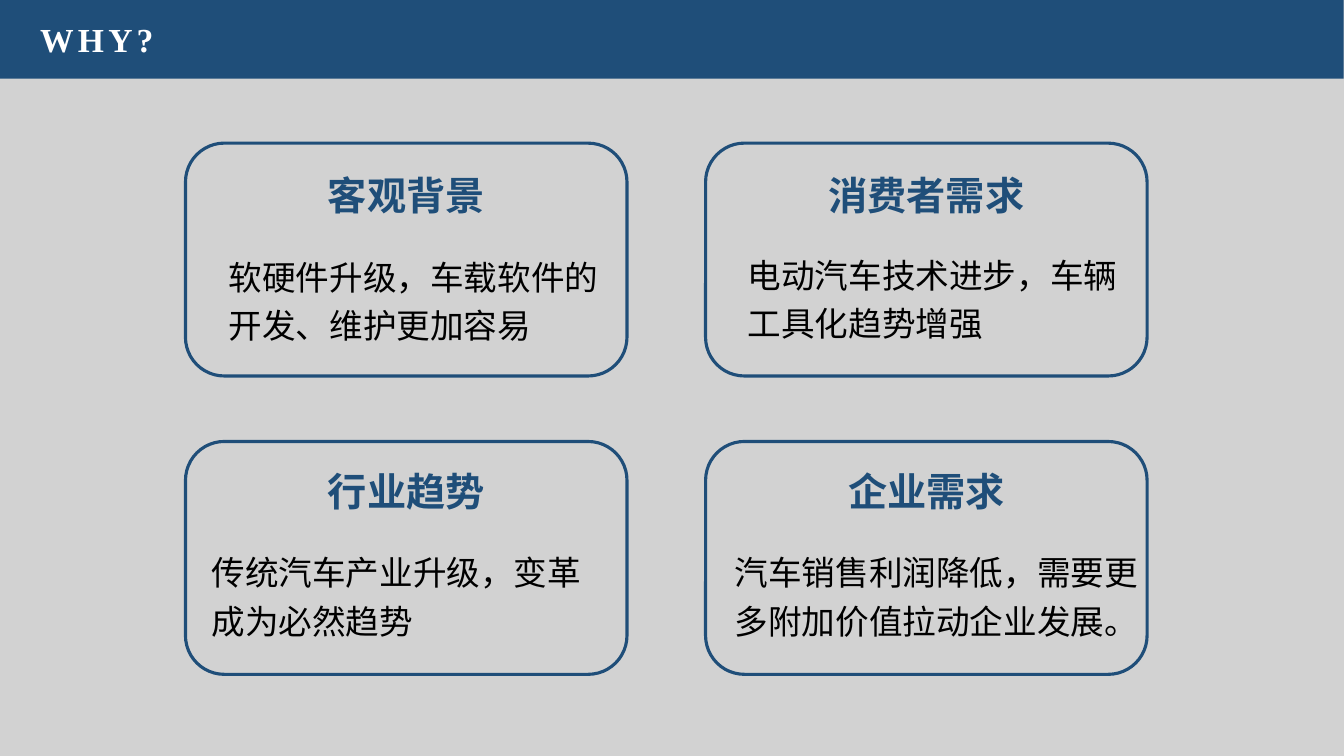
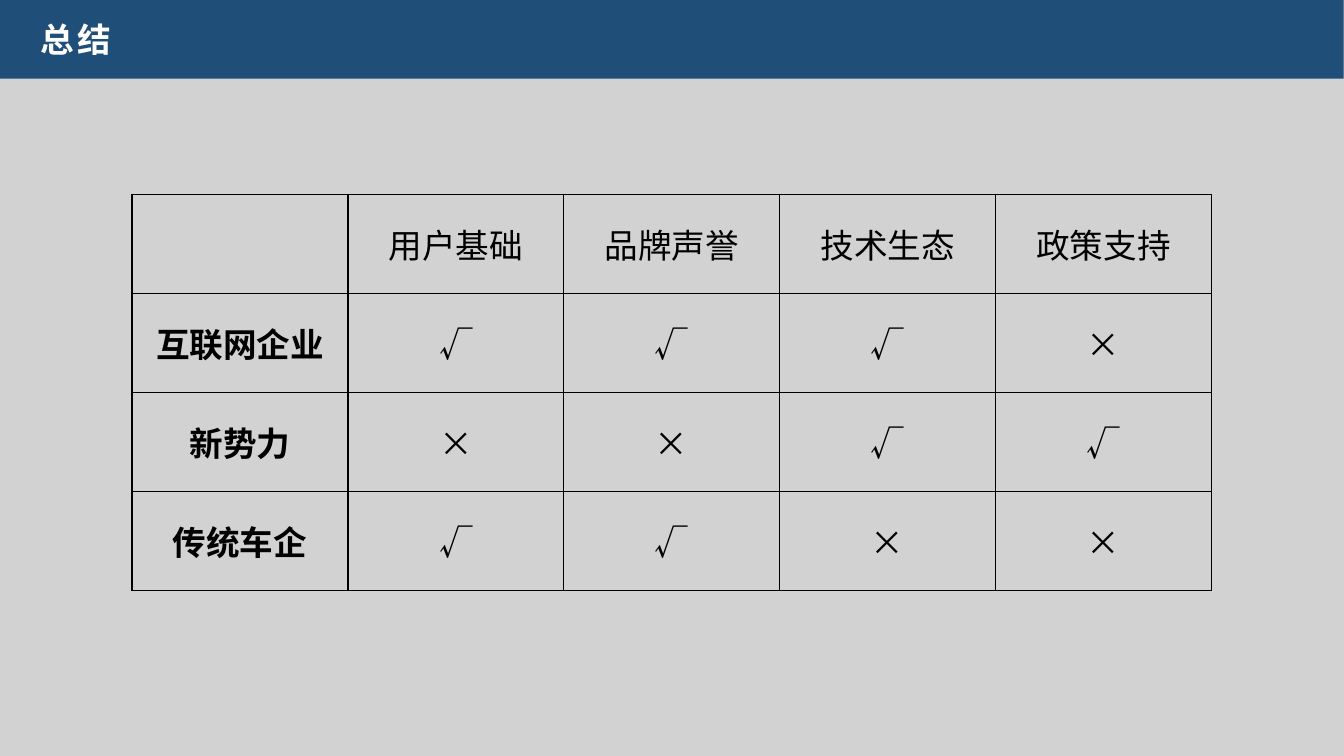
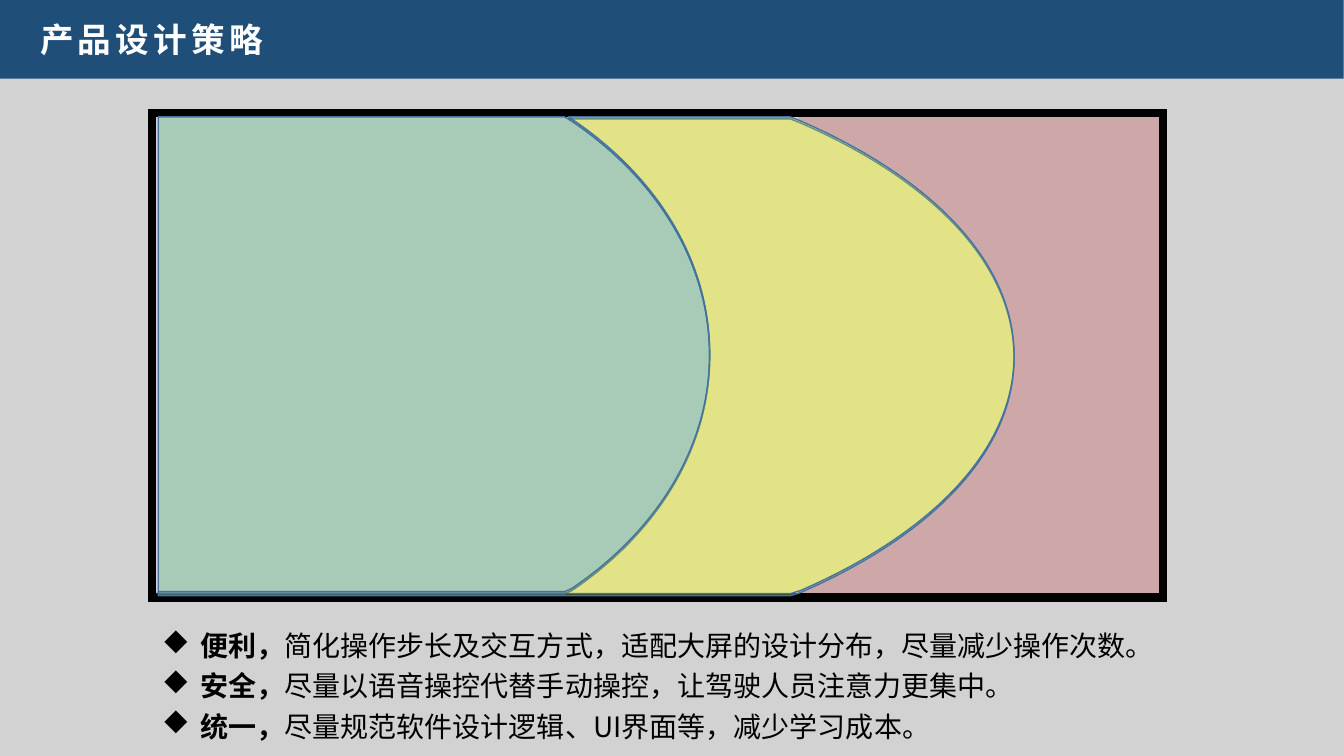
from lxml.etree import SubElement
from pptx import Presentation
from pptx.dml.color import RGBColor
from pptx.enum.shapes import MSO_SHAPE as Shape
from pptx.enum.text import MSO_ANCHOR as Anchor, MSO_AUTO_SIZE as Fit, PP_ALIGN as Align
from pptx.oxml.ns import qn
from pptx.util import Inches, Pt

COLORS = {"page": "D2D2D2", "navy": "1F4E79", "white": "FFFFFF", "black": "000000",
          "edge": "43739E", "red": "C00000", "yellow": "FFFF00", "green": "00B050"}
SANS, SERIF = "Noto Sans CJK SC", "Times New Roman"

# heading, body, body offset in the card (x, y), body width
CARDS = [
    ("客观背景", "软硬件升级，车载软件的开发、维护更加容易", (0.33, 1.0), 4.06),
    ("消费者需求", "电动汽车技术进步，车辆工具化趋势增强", (0.32, 0.98), 4.06),
    ("行业趋势", "传统汽车产业升级，变革成为必然趋势", (0.16, 0.97), 4.06),
    ("企业需求", "汽车销售利润降低，需要更多附加价值拉动企业发展。", (0.19, 0.97), 4.32),
]
CARD_W, CARD_H = 4.38, 2.31
LEFT, TOP = 1.84, 1.42
STEP_X, STEP_Y = 5.16, 2.96

GRID = [
    ("", "用户基础", "品牌声誉", "技术生态", "政策支持"),
    ("互联网企业", "√", "√", "√", "×"),
    ("新势力", "×", "×", "√", "√"),
    ("传统车企", "√", "√", "×", "×"),
]

POINTS = [
    ("便利，", "简化操作步长及交互方式，适配大屏的设计分布，尽量减少操作次数。"),
    ("安全，", "尽量以语音操控代替手动操控，让驾驶人员注意力更集中。"),
    ("统一，", "尽量规范软件设计逻辑、UI界面等，减少学习成本。"),
]
FRAME = (1.51, 1.12, 10.03, 4.81)
MID = 3.53


def rgb(name):
    return RGBColor.from_string(COLORS[name])


def style(run, size, color="black", bold=False, face=SANS):
    font = run.font
    font.size, font.bold, font.name = Pt(size), bold, face
    font.color.rgb = rgb(color)
    SubElement(run._r.get_or_add_rPr(), qn("a:ea"), typeface=SANS)


def paint(shape, fill=None, line=None, width=1, alpha=None):
    shape.shadow.inherit = False
    if fill:
        shape.fill.solid()
        shape.fill.fore_color.rgb = rgb(fill)
        if alpha:
            tint = shape.fill._xPr.find(".//" + qn("a:srgbClr"))
            SubElement(tint, qn("a:alpha"), val=str(alpha * 1000))
    else:
        shape.fill.background()
    if line:
        shape.line.color.rgb = rgb(line)
        shape.line.width = Pt(width)
    else:
        shape.line.fill.background()
    return shape


def add_box(slide, kind, at, **look):
    return paint(slide.shapes.add_shape(kind, *map(Inches, at)), **look)


def add_frame(slide, at):
    """Add an empty wrapping text box and return its text frame."""
    frame = slide.shapes.add_textbox(*map(Inches, at)).text_frame
    frame.word_wrap, frame.auto_size = True, Fit.SHAPE_TO_FIT_TEXT
    return frame


def add_text(slide, at, text, size, align=None, space=None, **look):
    frame = add_frame(slide, at)
    frame.text = text
    para = frame.paragraphs[0]
    para.alignment, para.line_spacing = align, space
    style(para.runs[0], size, **look)
    return para.runs[0]


def add_page(prs, title):
    """Add a blank slide with the title band."""
    slide = prs.slides.add_slide(prs.slide_layouts[6])
    add_box(slide, Shape.RECTANGLE, (-0.04, -0.01, 13.37, 0.79), fill="navy")
    run = add_text(slide, (0.3, 0.14, 7.78, 0.5), title, 24,
                   color="white", bold=True, face=SERIF)
    run._r.get_or_add_rPr().set("spc", "300")
    return slide


def add_cards(slide):
    for i, (head, body, (dx, dy), width) in enumerate(CARDS):
        row, col = divmod(i, 2)
        x, y = LEFT + col * STEP_X, TOP + row * STEP_Y
        add_box(slide, Shape.ROUNDED_RECTANGLE, (x, y, CARD_W, CARD_H),
                line="navy", width=2.25)
        add_text(slide, (x, y + 0.23 - 0.02 * row, CARD_W, 0.57), head, 28,
                 align=Align.CENTER, color="navy", bold=True)
        add_text(slide, (x + dx, y + dy, width, 1.07), body, 24, space=1.2)


def add_edges(cell):
    props = cell._tc.get_or_add_tcPr()
    for side in ("lnL", "lnR", "lnT", "lnB"):
        line = SubElement(props, qn("a:" + side), w=str(Pt(1)))
        fill = SubElement(line, qn("a:solidFill"))
        SubElement(fill, qn("a:srgbClr"), val=COLORS["black"])


def add_grid(slide):
    at = map(Inches, (1.31, 1.93, 10.71, 3.93))
    table = slide.shapes.add_table(len(GRID), len(GRID[0]), *at).table
    table.first_row = table.horz_banding = False
    for r, row in enumerate(GRID):
        for c, text in enumerate(row):
            cell = table.cell(r, c)
            add_edges(cell)
            cell.fill.background()
            cell.vertical_anchor = Anchor.MIDDLE
            if text:
                cell.text = text
                para = cell.text_frame.paragraphs[0]
                para.alignment = Align.CENTER
                style(para.runs[0], 24, bold=c == 0)


def bulge(start, ctrl, tip, mid=MID):
    """Knots and handles of two curves that swell right to a tip, top to bottom."""
    half = [(start, 2.33), (ctrl, 1.77), (tip, 0.94)]
    return ([(x, mid - d) for x, d in half] + [(tip, mid)]
            + [(x, mid + d) for x, d in half[::-1]])


def add_zone(slide, parts, fill, line=None, drop=0):
    """Draw an outline whose parts are corners (tuples) and bulges (lists)."""
    points, starts = [], []
    for part in parts:
        if isinstance(part, list):
            starts += [len(points), len(points) + 3]
            points += part
        else:
            points.append(part)
    dots = [(Inches(x), Inches(y + drop)) for x, y in points]
    pen = slide.shapes.build_freeform(*dots[0], scale=1.0)
    pen.add_line_segments(dots[1:], close=True)
    shape = paint(pen.convert_to_shape(), fill=fill, line=line, alpha=20)
    lines = list(shape._element.iter(qn("a:lnTo")))
    for start in starts:
        trio = lines[start:start + 3]
        curve = trio[0].makeelement(qn("a:cubicBezTo"))
        trio[0].addprevious(curve)
        for step in trio:
            curve.append(step[0])
            step.getparent().remove(step)


def add_zones(slide):
    left, top, width, height = FRAME
    right, base = left + width, top + height
    outer, inner = bulge(7.94, 9.23, 10.06), bulge(5.67, 6.5, 7.04)
    high, low = MID - 2.37, MID + 2.36
    red = [(7.92, top), (right, top), (right, base), (7.92, base),
           (7.92, MID + 2.33), outer[::-1], (7.92, MID - 2.33)]
    green = [(1.57, high), (5.6, high), inner, (5.6, low), (1.57, low)]
    yellow = [(5.64, high), (7.84, high), outer, (7.84, low), (1.57, low),
              (1.57, low - 0.02), (5.6, low - 0.02),
              bulge(5.67, 6.5, 7.04, MID - 0.02)[::-1]]
    add_zone(slide, red, "red")
    border = add_box(slide, Shape.RECTANGLE, FRAME, line="black", width=6)
    SubElement(border.line._get_or_add_ln(), qn("a:miter"), lim="800000")
    add_zone(slide, yellow, "yellow", "edge", drop=0.02)
    add_zone(slide, green, "green", "edge")
    add_zone(slide, yellow, "yellow", "edge")


def add_points(slide):
    frame = add_frame(slide, (1.51, 6.12, 10.11, 1.31))
    for i, (head, body) in enumerate(POINTS):
        para = frame.add_paragraph() if i else frame.paragraphs[0]
        para.line_spacing = 1.2
        props = para._p.get_or_add_pPr()
        props.set("marL", str(Inches(0.38)))
        props.set("indent", str(-Inches(0.38)))
        SubElement(props, qn("a:buFont"), typeface="Wingdings", charset="2")
        SubElement(props, qn("a:buChar"), char="u")
        for text, bold in ((head, True), (body, False)):
            run = para.add_run()
            run.text = text
            style(run, 20, bold=bold)


def main():
    prs = Presentation()
    prs.slide_width, prs.slide_height = Inches(40 / 3), Inches(7.5)
    back = prs.slide_master.background.fill
    back.solid()
    back.fore_color.rgb = rgb("page")

    add_cards(add_page(prs, "WHY?"))
    add_grid(add_page(prs, "总结"))
    plan = add_page(prs, "产品设计策略")
    add_zones(plan)
    add_points(plan)
    prs.save("out.pptx")


if __name__ == "__main__":
    main()
